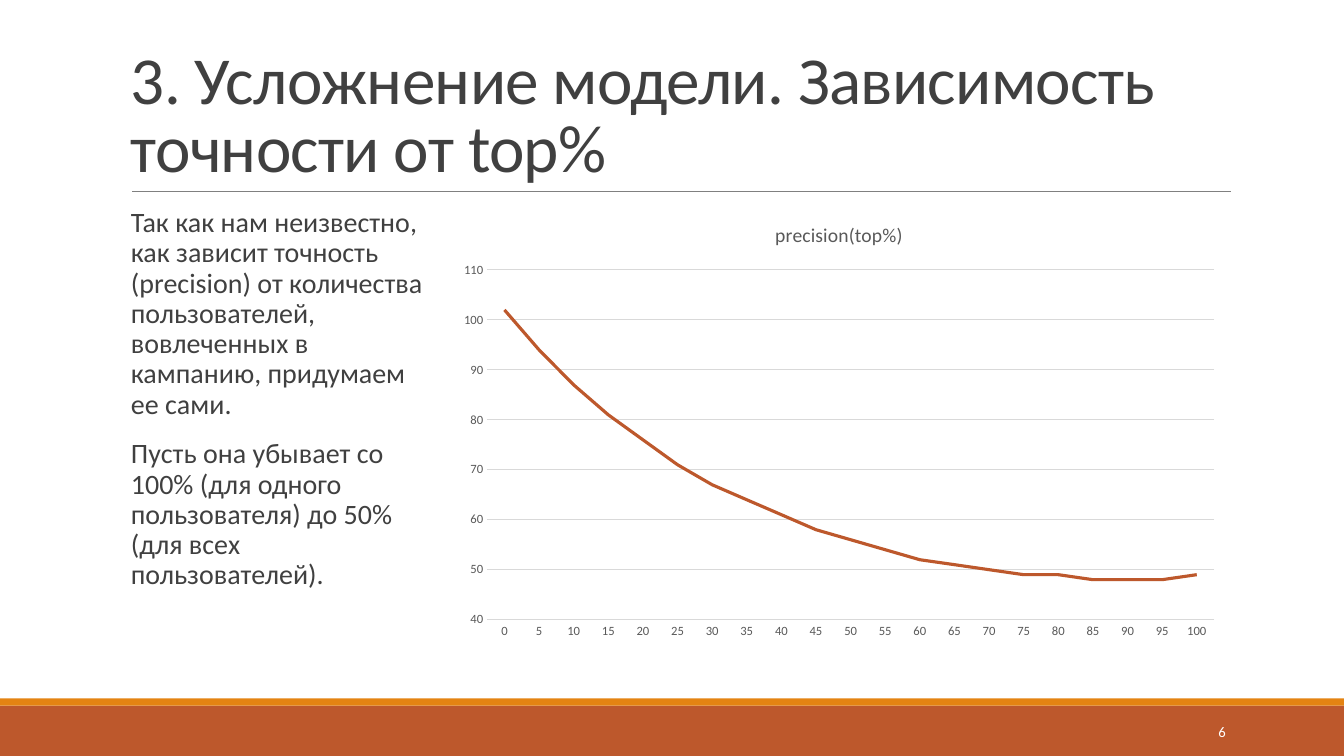
"""Build the slide on how precision depends on the top percentage."""
from dataclasses import dataclass
from typing import Any

from lxml import etree
from pptx import Presentation
from pptx import util as u
from pptx.chart import data as cd
from pptx.dml import color as dc
from pptx.enum import chart as ch
from pptx.enum import shapes, text
from pptx.oxml import ns

COLORS = {"rust": "BD582C", "orange": "E48312", "rule": "808080", "ink": "404040",
          "label": "595959", "grid": "D9D9D9", "white": "FFFFFF"}
FONT = "Calibri"


@dataclass
class Box:
    left: float
    top: float
    width: float
    height: float

    def emu(self) -> list[u.Length]:
        return [u.Cm(v) for v in (self.left, self.top, self.width, self.height)]


@dataclass
class Bar:
    box: Box
    color: str


@dataclass
class TextBlock:
    box: Box
    paragraphs: list[str]
    size: float
    color: str
    frame: dict[str, Any]
    para: dict[str, Any]
    spacing: int = 0


BARS = [
    Bar(Box(0, 17.78, 33.87, 1.27), "rust"),
    Bar(Box(0, 17.6, 33.87, 0.18), "orange"),
]

TEXTS = [
    TextBlock(Box(3.05, 0.79, 27.94, 4.04),
              ["3. Усложнение модели. Зависимость точности от top%"], 48, "ink",
              {"vertical_anchor": text.MSO_ANCHOR.BOTTOM}, {"line_spacing": 0.85}, -50),
    TextBlock(Box(3.05, 5.13, 7.87, 11.18),
              ["Так как нам неизвестно, как зависит точность (precision) от количества "
               "пользователей, вовлеченных в кампанию, придумаем ее сами.",
               "Пусть она убывает со 100% (для одного пользователя) до 50% "
               "(для всех пользователей)."], 20, "ink",
              {"margin_left": u.Cm(0.25), "margin_right": 0},
              {"line_spacing": 0.9, "space_before": u.Pt(12), "space_after": u.Pt(2)}),
    TextBlock(Box(27.51, 17.93, 3.63, 1.02), ["6"], 10.5, "white",
              {"vertical_anchor": text.MSO_ANCHOR.MIDDLE},
              {"alignment": text.PP_ALIGN.RIGHT}),
]

CHART_BOX = Box(11.3, 5.13, 19.69, 11.18)
PRECISION = [102, 94, 87, 81, 76, 71, 67, 64, 61, 58, 56,
             54, 52, 51, 50, 49, 49, 48, 48, 48, 49]


def rgb(name: str) -> dc.RGBColor:
    return dc.RGBColor.from_string(COLORS[name])


def apply(target: Any, formats: dict[str, Any]) -> None:
    for name, value in formats.items():
        setattr(target, name, value)


def style_font(font: Any, size: float, color: str) -> None:
    apply(font, {"name": FONT, "size": u.Pt(size), "bold": False})
    font.color.rgb = rgb(color)


def style_line(line: Any, width: float, color: str) -> None:
    line.width = u.Pt(width)
    line.color.rgb = rgb(color)


def draw_bar(s: Any, bar: Bar) -> None:
    sp = s.shapes.add_shape(shapes.MSO_SHAPE.RECTANGLE, *bar.box.emu())
    sp.shadow.inherit = False
    sp.fill.solid()
    sp.fill.fore_color.rgb = rgb(bar.color)
    sp.line.fill.background()


def draw_rule(s: Any) -> None:
    left, right, y = u.Cm(3.33), u.Cm(31.01), u.Cm(4.83)
    rule = s.shapes.add_connector(shapes.MSO_CONNECTOR.STRAIGHT, left, y, right, y)
    style_line(rule.line, 0.5, "rule")
    etree.SubElement(rule._element.spPr, ns.qn("a:effectLst"))


def draw_text(s: Any, block: TextBlock) -> None:
    tf = s.shapes.add_textbox(*block.box.emu()).text_frame
    apply(tf, {"word_wrap": True, **block.frame})
    for i, words in enumerate(block.paragraphs):
        p = tf.add_paragraph() if i else tf.paragraphs[0]
        apply(p, block.para)
        r = p.add_run()
        r.text = words
        style_font(r.font, block.size, block.color)
        if block.spacing:
            r._r.get_or_add_rPr().set("spc", str(block.spacing))


def draw_chart(s: Any) -> None:
    data = cd.CategoryChartData(number_format="0")
    data.categories = [str(5 * i) for i in range(len(PRECISION))]
    data.add_series("precision(top%)", PRECISION)
    chart = s.shapes.add_chart(ch.XL_CHART_TYPE.LINE, *CHART_BOX.emu(), data).chart
    style_font(chart.font, 10, "label")
    apply(chart, {"has_legend": False, "has_title": True})

    p = chart.chart_title.text_frame.paragraphs[0]
    r = p.add_run()
    r.text = "precision(top%)"
    style_font(r.font, 14, "label")
    chart.chart_title.include_in_layout = False

    plot = chart.plots[0]
    plot.vary_by_categories = False
    curve = plot.series[0]
    curve.smooth = False
    curve.marker.style = ch.XL_MARKER_STYLE.NONE
    style_line(curve.format.line, 2.25, "rust")

    x, y = chart.category_axis, chart.value_axis
    for axis in (x, y):
        apply(axis, {"major_tick_mark": ch.XL_TICK_MARK.NONE,
                     "minor_tick_mark": ch.XL_TICK_MARK.NONE})
        style_font(axis.tick_labels.font, 9, "label")
    apply(y, {"minimum_scale": 40, "maximum_scale": 110, "major_unit": 10,
              "has_major_gridlines": True})
    apply(y.tick_labels, {"number_format": "0", "number_format_is_linked": False})
    style_line(x.format.line, 0.75, "grid")
    style_line(y.major_gridlines.format.line, 0.75, "grid")
    y.format.line.fill.background()


prs = Presentation()
apply(prs, {"slide_width": u.Cm(33.87), "slide_height": u.Cm(19.05)})
s = prs.slides.add_slide(prs.slide_layouts[6])
for bar in BARS:
    draw_bar(s, bar)
draw_rule(s)
for block in TEXTS:
    draw_text(s, block)
draw_chart(s)
prs.save("out.pptx")
